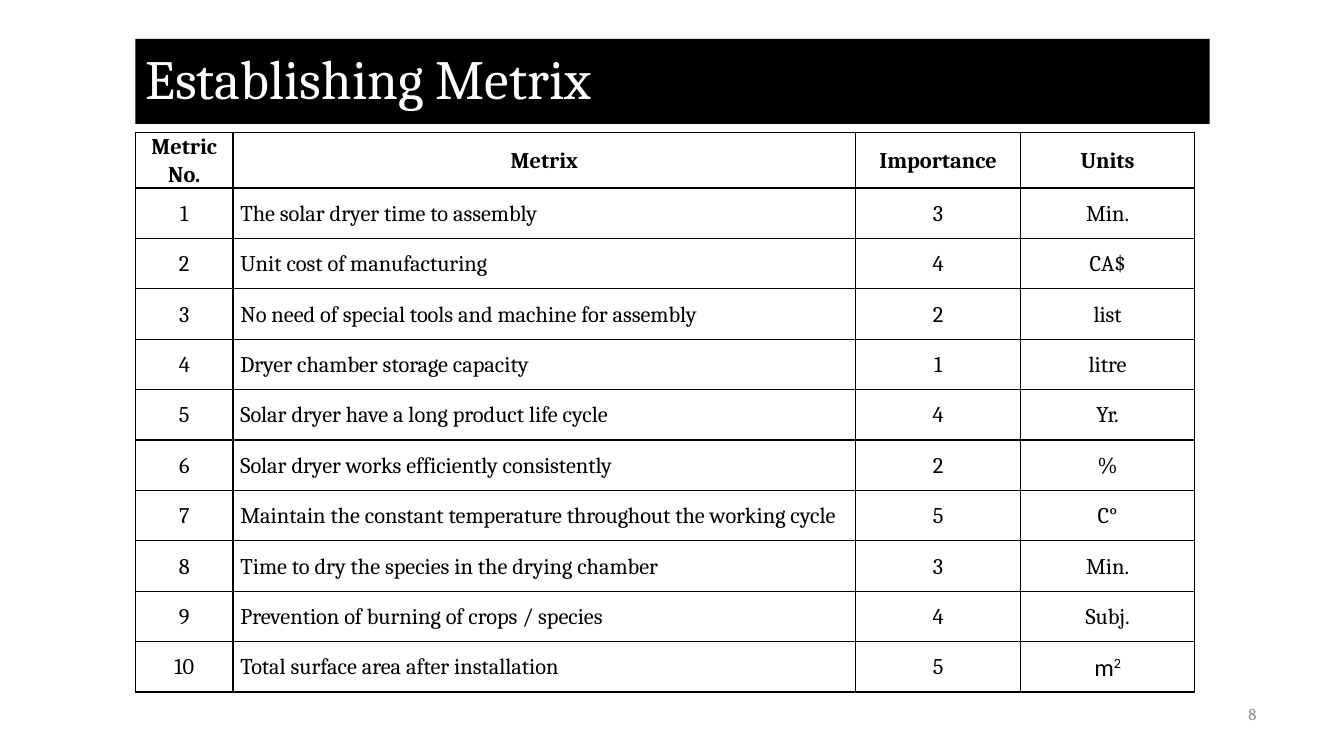
from pptx import Presentation
from pptx.dml.color import RGBColor
from pptx.enum.shapes import MSO_SHAPE
from pptx.enum.text import MSO_ANCHOR as ANCHOR, PP_ALIGN as ALIGN
from pptx.oxml import parse_xml
from pptx.oxml.ns import nsdecls
from pptx.util import Emu, Pt

SCALE = 9525
HEADER = ["Metric No.", "Metrix", "Importance", "Units"]
METRICS = [
    ("The solar dryer time to assembly", 3, "Min."),
    ("Unit cost of manufacturing", 4, "CA$"),
    ("No need of special tools and machine for assembly", 2, "list"),
    ("Dryer chamber storage capacity", 1, "litre"),
    ("Solar dryer have a long product life cycle", 4, "Yr."),
    ("Solar dryer works efficiently consistently", 2, "%"),
    ("Maintain the constant temperature throughout the working cycle", 5, "C°"),
    ("Time to dry the species in the drying chamber", 3, "Min."),
    ("Prevention of burning of crops / species", 4, "Subj."),
    ("Total surface area after installation", 5, "m"),
]


def px(n):
    return Emu(n * SCALE)


def color(value):
    return RGBColor.from_string(value)


def add_text(p, text, size=16, font="Cambria", fill="000000", bold=False, sup=False):
    r = p.add_run()
    r.text = text
    r.font.size = Pt(size)
    r.font.name = font
    r.font.bold = bold
    r.font.color.rgb = color(fill)
    if sup:
        r._r.get_or_add_rPr().set("baseline", "30000")


class Deck:
    ink = "000000"
    paper = "FFFFFF"
    muted = "8C8C8C"

    def __init__(self, width, height):
        self.prs = Presentation()
        self.prs.slide_width, self.prs.slide_height = px(width), px(height)
        self.s = self.prs.slides.add_slide(self.prs.slide_layouts[6])

    def title_bar(self, text, *box):
        sp = self.s.shapes.add_shape(MSO_SHAPE.RECTANGLE, *map(px, box))
        sp.shadow.inherit = False
        sp.fill.solid()
        sp.fill.fore_color.rgb = color(self.ink)
        sp.line.fill.background()
        sp.text_frame.vertical_anchor = ANCHOR.MIDDLE
        p = sp.text_frame.paragraphs[0]
        p.alignment = ALIGN.LEFT
        p.line_spacing = 0.9
        add_text(p, text, size=39.5, fill=self.paper)

    def page_number(self, text, *box):
        tf = self.s.shapes.add_textbox(*map(px, box)).text_frame
        tf.word_wrap = True
        tf.vertical_anchor = ANCHOR.MIDDLE
        tf.paragraphs[0].alignment = ALIGN.RIGHT
        add_text(tf.paragraphs[0], text, size=12, fill=self.muted)

    def cell(self, cell, text, align, bold):
        cell.fill.background()
        cell.vertical_anchor = ANCHOR.MIDDLE
        cell.margin_left = cell.margin_right = px(7)
        cell.margin_top = cell.margin_bottom = 0
        p = cell.text_frame.paragraphs[0]
        p.alignment = align
        p.line_spacing = 1.07
        p.space_after = Pt(8)
        if text == "m":
            add_text(p, text, size=17.5, font="Calibri")
            add_text(p, "2", size=17.5, font="Calibri", sup=True)
        else:
            add_text(p, text, bold=bold)
        tcPr = cell._tc.get_or_add_tcPr()
        for i, side in enumerate(("lnL", "lnR", "lnT", "lnB")):
            tcPr.insert(i, parse_xml(
                f'<a:{side} {nsdecls("a")} w="12700"><a:solidFill>'
                f'<a:srgbClr val="{self.ink}"/></a:solidFill></a:{side}>'))

    def table(self, rows, left, top, widths, head_height, row_height):
        height = head_height + row_height * (len(rows) - 1)
        box = map(px, (left, top, sum(widths), height))
        table = self.s.shapes.add_table(len(rows), len(widths), *box).table
        table.first_row = table.horz_banding = False
        for column, width in zip(table.columns, widths):
            column.width = px(width)
        for i, row in enumerate(rows):
            table.rows[i].height = px(row_height if i else head_height)
            for j, text in enumerate(row):
                align = ALIGN.LEFT if i and j == 1 else ALIGN.CENTER
                self.cell(table.cell(i, j), str(text), align, bold=i == 0)


def main():
    deck = Deck(1280, 720)
    deck.title_bar("Establishing Metrix", 129, 37, 1023, 81)
    rows = [HEADER] + [(n, *metric) for n, metric in enumerate(METRICS, 1)]
    deck.table(rows, 129, 126, [93, 593, 157, 166], 53, 48)
    deck.page_number("8", 1148, 661, 58, 38)
    deck.prs.save("out.pptx")


if __name__ == "__main__":
    main()
